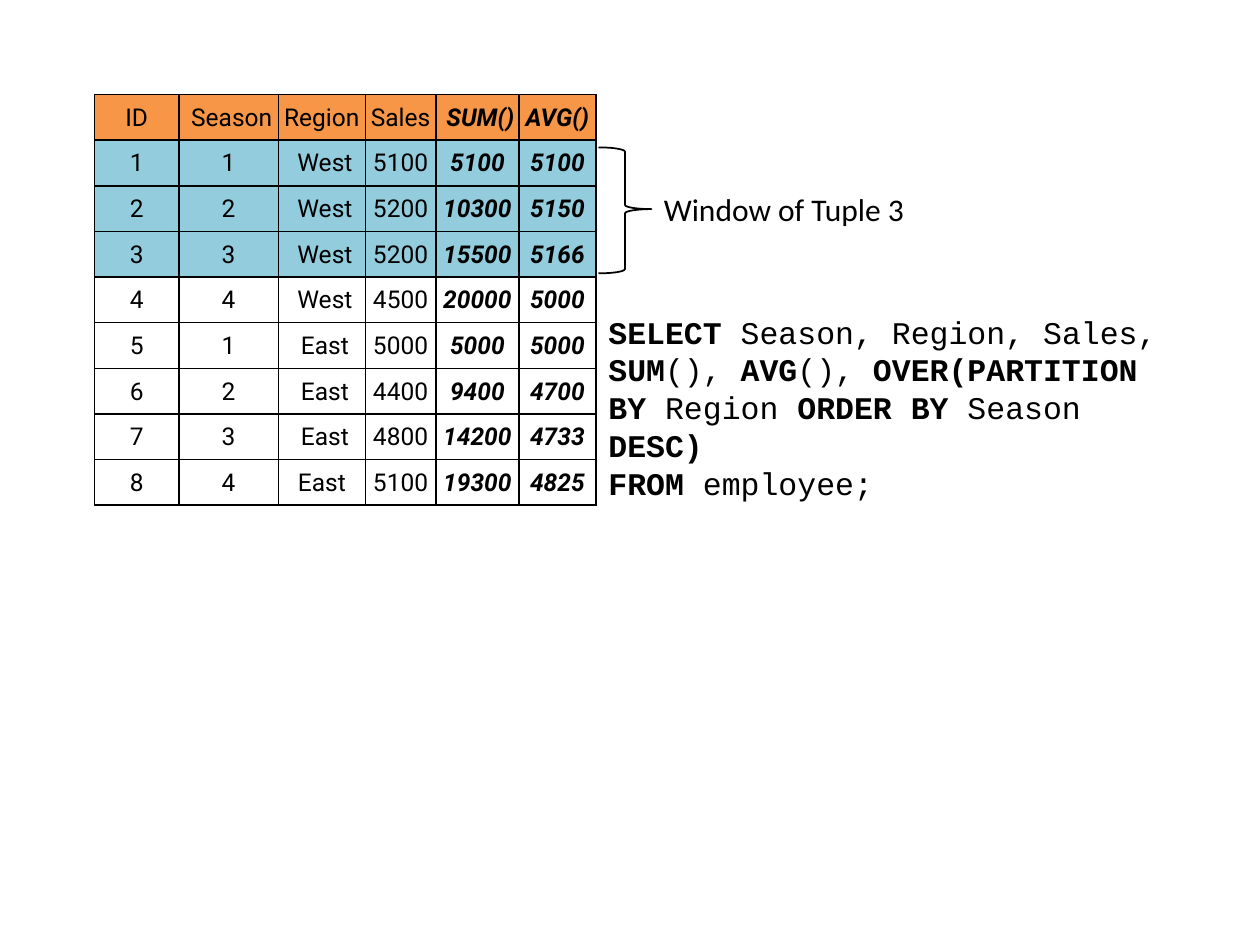
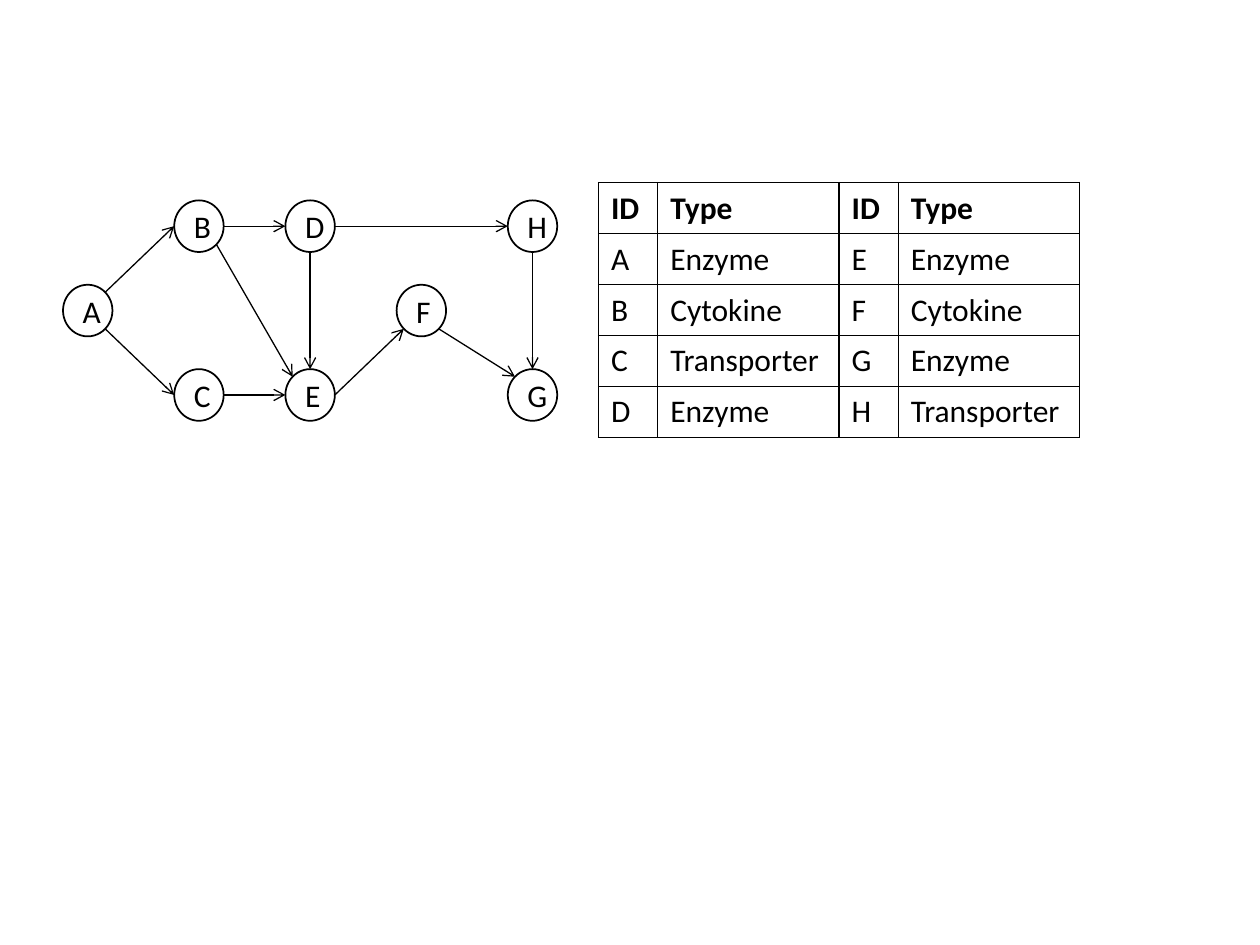
from dataclasses import dataclass
from math import sqrt
from typing import NamedTuple

from lxml import etree
from pptx import Presentation
from pptx.dml.color import RGBColor
from pptx.enum.shapes import MSO_CONNECTOR, MSO_SHAPE
from pptx.enum.text import MSO_ANCHOR, MSO_AUTO_SIZE, PP_ALIGN
from pptx.oxml.ns import qn
from pptx.util import Inches, Pt

STRAIGHT = MSO_CONNECTOR.STRAIGHT
ELLIPSE, BRACE = MSO_SHAPE.OVAL, MSO_SHAPE.RIGHT_BRACE
TOP, MIDDLE = MSO_ANCHOR.TOP, MSO_ANCHOR.MIDDLE
LEFT, CENTER = PP_ALIGN.LEFT, PP_ALIGN.CENTER
FIT_SHAPE = MSO_AUTO_SIZE.SHAPE_TO_FIT_TEXT
SLIDE_WIDTH, SLIDE_HEIGHT = Inches(10), Inches(7.5)
GRID_COLUMNS = 40
UNIT = SLIDE_WIDTH / GRID_COLUMNS
DIAGONAL = 1 / sqrt(2)


@dataclass(frozen=True)
class Theme:
    """Colours, fonts, type sizes and line widths of the deck."""
    ink: str = "000000"
    paper: str = "FFFFFF"
    header: str = "F79646"
    window: str = "93CDDD"
    body_font: str = "Calibri"
    code_font: str = "Courier New"
    data_font: str = "Roboto"
    body_size: int = 18
    data_size: int = 14
    outline: float = 1
    arrow: float = 0.75


THEME = Theme()


class Area(NamedTuple):
    """A rectangle in grid columns and rows."""
    left: float
    top: float
    width: float
    height: float

    def lengths(self) -> list:
        """Return the rectangle in slide lengths."""
        return [grid(value) for value in self]


class Piece(NamedTuple):
    """A stretch of text with one weight."""
    text: str
    bold: bool = False


class Node(NamedTuple):
    """A graph node and its place on the node grid."""
    name: str
    column: int
    row: int


class Edge(NamedTuple):
    """An arrow from a side of one node to a side of another."""
    start: str
    start_side: str
    end: str
    end_side: str


@dataclass(frozen=True)
class TableStyle:
    """The look and measures of a table."""
    columns: tuple
    row_height: float
    font: str
    size: int
    alignment: PP_ALIGN
    anchor: MSO_ANCHOR
    margins: tuple
    fills: tuple = ()
    bold_header: bool = False
    strong_from: int = 99


SALES_STYLE = TableStyle(
    (2.68, 3.16, 2.76, 2.24, 2.64, 2.44), 1.45, THEME.data_font, THEME.data_size,
    CENTER, MIDDLE, (0.04, 0.04, 0.04, 0),
    fills=(THEME.header,) + (THEME.window,) * 3, strong_from=4)
TYPE_STYLE = TableStyle(
    (1.88, 5.76) * 2, 1.62, THEME.body_font, THEME.body_size,
    LEFT, TOP, (0.4, 0.2, 0.4, 0.2), bold_header=True)

SALES = (
    ("ID", " Season", "Region", "Sales", " SUM()", "AVG()"),
    ("1", "1", " West", "5100", "5100", "5100"),
    ("2", "2", " West", "5200", "10300", "5150"),
    ("3", "3", " West", "5200", "15500", "5166"),
    ("4", "4", " West", "4500", "20000", "5000"),
    ("5", "1", " East", "5000", "5000", "5000"),
    ("6", "2", " East", "4400", "9400", "4700"),
    ("7", "3", " East", "4800", "14200", "4733"),
    ("8", "4", "East", "5100", "19300", "4825"),
)
TYPES = (
    ("ID", "Type") * 2,
    ("A", "Enzyme", "E", "Enzyme"),
    ("B", "Cytokine", "F", "Cytokine"),
    ("C", "Transporter", "G", "Enzyme"),
    ("D", "Enzyme", "H", "Transporter"),
)
QUERY = (
    (Piece("SELECT ", True), Piece("Season, Region, Sales, ")),
    (Piece("SUM", True), Piece("(), "), Piece("AVG", True), Piece("(), "),
     Piece("OVER(PARTITION BY ", True), Piece("Region "), Piece("ORDER BY", True),
     Piece(" Season "), Piece("DESC) ", True)),
    (Piece("FROM", True), Piece(" employee; ")),
)
NODES = (
    Node("A", 0, 1), Node("B", 1, 0), Node("C", 1, 2), Node("D", 2, 0),
    Node("E", 2, 2), Node("F", 3, 1), Node("G", 4, 2), Node("H", 4, 0),
)
EDGES = (
    Edge("A", "upper right", "B", "left"), Edge("A", "lower right", "C", "left"),
    Edge("B", "right", "D", "left"), Edge("D", "bottom", "E", "top"),
    Edge("C", "right", "E", "left"), Edge("B", "lower right", "E", "upper left"),
    Edge("E", "right", "F", "lower left"), Edge("D", "right", "H", "left"),
    Edge("F", "lower right", "G", "upper left"), Edge("H", "bottom", "G", "top"),
)
SIDES = {
    "left": (-1, 0), "right": (1, 0), "top": (0, -1), "bottom": (0, 1),
    "upper left": (-DIAGONAL, -DIAGONAL), "upper right": (DIAGONAL, -DIAGONAL),
    "lower left": (-DIAGONAL, DIAGONAL), "lower right": (DIAGONAL, DIAGONAL),
}
FIRST_NODE = Area(2, 6.36, 1.57, 1.64)
NODE_COLUMN, NODE_ROW = 3.53, 2.68


def grid(count: float) -> int:
    """Turn grid units into a slide length."""
    return round(count * UNIT)


def color(value: str) -> RGBColor:
    """Read a hexadecimal colour."""
    return RGBColor.from_string(value)


def format_run(run, font: str, size: int, bold: bool = False, italic: bool = False) -> None:
    """Give a run its font, size and weight in the ink colour."""
    run.font.name, run.font.size = font, Pt(size)
    run.font.bold, run.font.italic = bold, italic
    run.font.color.rgb = color(THEME.ink)


def set_margins(target, margins: tuple) -> None:
    """Set the left, top, right and bottom margins in grid units."""
    for side, margin in zip(("left", "top", "right", "bottom"), margins):
        setattr(target, f"margin_{side}", grid(margin))


def add_borders(cell) -> None:
    """Draw an ink line on all four sides of a cell."""
    properties = cell._tc.get_or_add_tcPr()
    for side in ("lnL", "lnR", "lnT", "lnB"):
        line = etree.SubElement(properties, qn(f"a:{side}"), w=str(Pt(THEME.outline)))
        fill = etree.SubElement(line, qn("a:solidFill"))
        etree.SubElement(fill, qn("a:srgbClr"), val=THEME.ink)


def draw_table(slide, left: float, top: float, rows: tuple, style: TableStyle) -> None:
    """Draw a bordered table with its corner at a grid point."""
    area = Area(left, top, sum(style.columns), style.row_height * len(rows))
    table = slide.shapes.add_table(len(rows), len(style.columns), *area.lengths()).table
    table.first_row = table.horz_banding = False
    for column, width in zip(table.columns, style.columns):
        column.width = grid(width)
    for row_index, values in enumerate(rows):
        table.rows[row_index].height = grid(style.row_height)
        for column_index, value in enumerate(values):
            cell = table.cell(row_index, column_index)
            add_borders(cell)
            if row_index < len(style.fills):
                cell.fill.solid()
                cell.fill.fore_color.rgb = color(style.fills[row_index])
            else:
                cell.fill.background()
            set_margins(cell, style.margins)
            cell.vertical_anchor = style.anchor
            paragraph = cell.text_frame.paragraphs[0]
            paragraph.text, paragraph.alignment = value, style.alignment
            strong = column_index >= style.strong_from
            bold = strong or (style.bold_header and row_index == 0)
            format_run(paragraph.runs[0], style.font, style.size, bold, strong)


def draw_text(slide, area: Area, paragraphs: tuple, font: str, anchor: MSO_ANCHOR = TOP,
              wrap: bool = False, margins: tuple = (0.4, 0.2, 0.4, 0.2)) -> None:
    """Draw a text box made of pieces."""
    text_frame = slide.shapes.add_textbox(*area.lengths()).text_frame
    text_frame.word_wrap, text_frame.vertical_anchor = wrap, anchor
    text_frame.auto_size = FIT_SHAPE
    set_margins(text_frame, margins)
    for index, pieces in enumerate(paragraphs):
        paragraph = text_frame.add_paragraph() if index else text_frame.paragraphs[0]
        for piece in pieces:
            run = paragraph.add_run()
            run.text = piece.text
            format_run(run, font, THEME.body_size, piece.bold)


def draw_outline(shapes, kind: MSO_SHAPE, area: Area):
    """Draw an unfilled preset shape with an ink outline."""
    shape = shapes.add_shape(kind, *area.lengths())
    shape.shadow.inherit = False
    shape.fill.background()
    shape.line.color.rgb, shape.line.width = color(THEME.ink), Pt(THEME.outline)
    return shape


def node_area(node: Node) -> Area:
    """Place a node on the node grid."""
    return FIRST_NODE._replace(left=FIRST_NODE.left + node.column * NODE_COLUMN,
                               top=FIRST_NODE.top + node.row * NODE_ROW)


def draw_node(shapes, node: Node) -> None:
    """Draw a named circle."""
    shape = draw_outline(shapes, ELLIPSE, node_area(node))
    shape.fill.solid()
    shape.fill.fore_color.rgb = color(THEME.paper)
    shape.text_frame.text = node.name
    shape.text_frame.vertical_anchor = MIDDLE
    paragraph = shape.text_frame.paragraphs[0]
    paragraph.alignment = CENTER
    format_run(paragraph.runs[0], THEME.body_font, THEME.body_size)


def side_point(area: Area, side: str) -> tuple:
    """Find the point on an ellipse's rim at a named side."""
    across, down = SIDES[side]
    return (grid(area.left + area.width * (1 + across) / 2),
            grid(area.top + area.height * (1 + down) / 2))


def draw_edge(shapes, edge: Edge, areas: dict) -> None:
    """Draw an arrow between two nodes."""
    connector = shapes.add_connector(STRAIGHT, *side_point(areas[edge.start], edge.start_side),
                                     *side_point(areas[edge.end], edge.end_side))
    connector.line.color.rgb, connector.line.width = color(THEME.ink), Pt(THEME.arrow)
    etree.SubElement(connector.line._get_or_add_ln(), qn("a:tailEnd"), type="arrow")
    etree.SubElement(connector._element.spPr, qn("a:effectLst"))


def build_window_slide(slide) -> None:
    """Show the sales table, the window of a tuple and its query."""
    draw_text(slide, Area(18.92, 9.68, 18.08, 6.48), QUERY, THEME.code_font,
              MIDDLE, True, (0.4, 0.2, 0, 0.2))
    draw_table(slide, 3, 3, SALES, SALES_STYLE)
    brace = draw_outline(slide.shapes, BRACE, Area(19, 4.68, 1.68, 4))
    brace.adjustments[0], brace.adjustments[1] = 0.08, 0.49
    draw_text(slide, Area(20.68, 5.84, 8.52, 1.6), ((Piece("Window of Tuple 3"),),),
              THEME.body_font)


def build_graph_slide(slide) -> None:
    """Show the directed graph and the types of its nodes."""
    shapes = slide.shapes.add_group_shape().shapes
    areas = {node.name: node_area(node) for node in NODES}
    for node in NODES:
        draw_node(shapes, node)
    for edge in EDGES:
        draw_edge(shapes, edge, areas)
    draw_table(slide, 19, 5.8, TYPES, TYPE_STYLE)


def main() -> None:
    """Build and save the presentation."""
    presentation = Presentation()
    presentation.slide_width, presentation.slide_height = SLIDE_WIDTH, SLIDE_HEIGHT
    blank = presentation.slide_layouts[6]
    for build in (build_window_slide, build_graph_slide):
        build(presentation.slides.add_slide(blank))
    presentation.save("out.pptx")


main()
